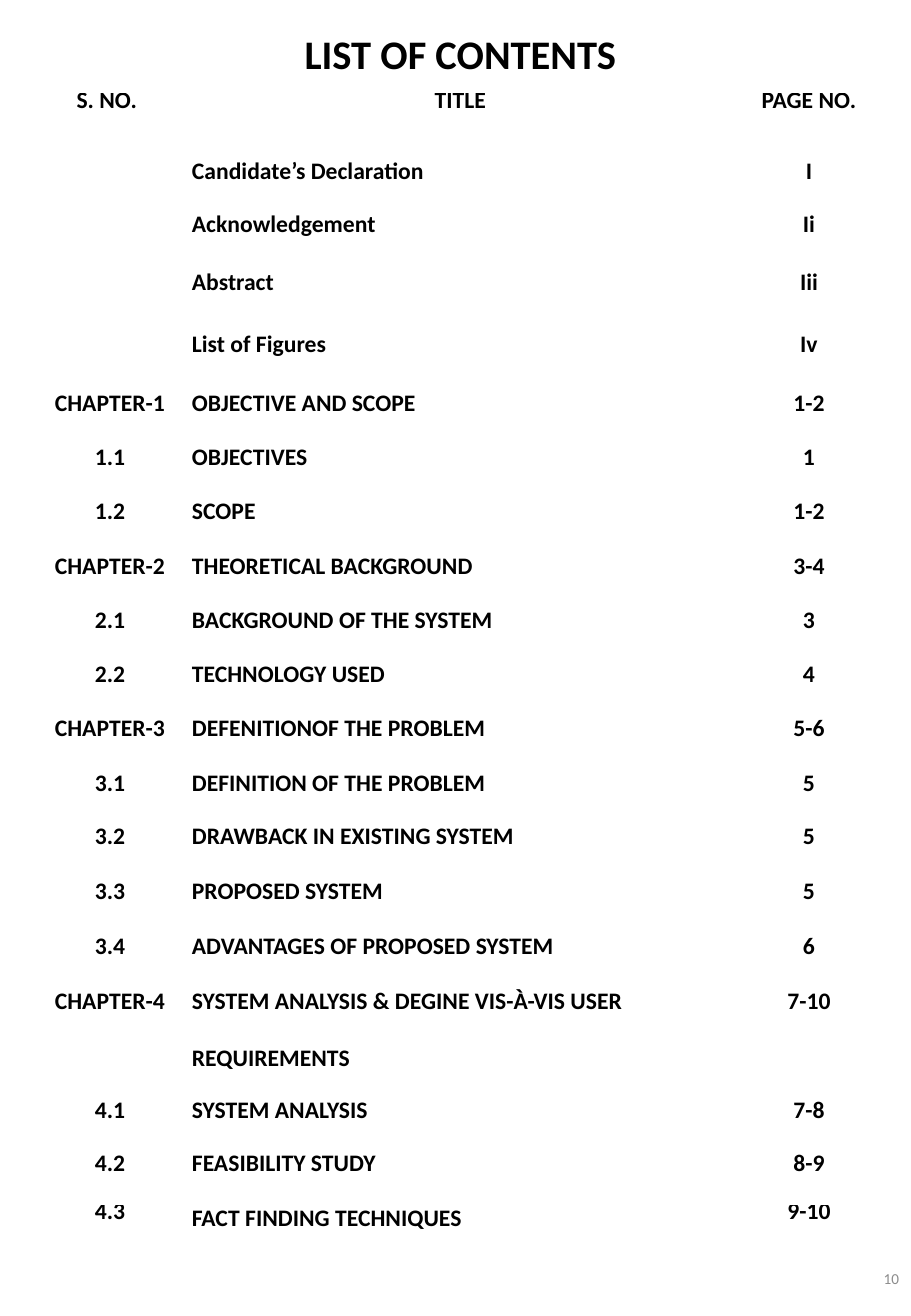
"""Build the list of contents page of a project report."""
from dataclasses import dataclass

from pptx import Presentation
from pptx.dml.color import RGBColor
from pptx.enum.text import MSO_ANCHOR, MSO_AUTO_SIZE, PP_ALIGN
from pptx.util import Inches, Pt

LEFT, CENTER, RIGHT = PP_ALIGN.LEFT, PP_ALIGN.CENTER, PP_ALIGN.RIGHT
MIDDLE = MSO_ANCHOR.MIDDLE
NO_AUTOFIT = MSO_AUTO_SIZE.NONE


@dataclass(frozen=True)
class Theme:
    font: str = "Calibri"
    ink: RGBColor = RGBColor(0, 0, 0)
    muted: RGBColor = RGBColor(0x8C, 0x8C, 0x8C)
    title: Pt = Pt(24)
    body: Pt = Pt(14)
    footer: Pt = Pt(9)


THEME = Theme()


def style(p, size, color, align, bold=True):
    p.alignment = align
    p.font.name, p.font.size, p.font.bold = THEME.font, size, bold
    p.font.color.rgb = color


def fill_frame(tf, text, size, color, align, bold=True):
    tf.text = text
    tf.word_wrap, tf.auto_size = True, NO_AUTOFIT
    tf.vertical_anchor = MIDDLE
    style(tf.paragraphs[0], size, color, align, bold)


prs = Presentation()
prs.slide_width, prs.slide_height = Inches(7.5), Inches(10.83)
s = prs.slides.add_slide(prs.slide_layouts[5])

title = s.shapes.title
title.left, title.top = Inches(0.79), Inches(0.16)
title.width, title.height = Inches(6), Inches(0.56)
fill_frame(title.text_frame, "LIST OF CONTENTS", THEME.title, THEME.ink, CENTER)

contents = [
    (0.53, "S. NO.", "TITLE", "PAGE NO."),
    (0.44, "", "Candidate’s Declaration", "I"),
    (0.48, "", "Acknowledgement", "Ii"),
    (0.51, "", "Abstract", "Iii"),
    (0.48, "", "List of Figures", "Iv"),
    (0.45, "CHAPTER-1", "OBJECTIVE AND SCOPE", "1-2"),
    (0.44, "1.1", "OBJECTIVES", "1"),
    (0.45, "1.2", "SCOPE", "1-2"),
    (0.45, "CHAPTER-2", "THEORETICAL BACKGROUND", "3-4"),
    (0.44, "2.1", "BACKGROUND OF THE SYSTEM", "3"),
    (0.45, "2.2", "TECHNOLOGY USED", "4"),
    (0.45, "CHAPTER-3", "DEFENITIONOF THE PROBLEM", "5-6"),
    (0.44, "3.1", "DEFINITION OF THE PROBLEM", "5"),
    (0.45, "3.2", "DRAWBACK IN EXISTING SYSTEM", "5"),
    (0.45, "3.3", "PROPOSED SYSTEM", "5"),
    (0.45, "3.4", "ADVANTAGES OF PROPOSED SYSTEM", "6"),
    (0.9, "CHAPTER-4", "SYSTEM ANALYSIS & DEGINE VIS-À-VIS USER\nREQUIREMENTS", "7-10"),
    (0.44, "4.1", "SYSTEM ANALYSIS", "7-8"),
    (0.45, "4.2", "FEASIBILITY STUDY", "8-9"),
    (0.33, "4.3", "FACT FINDING TECHNIQUES", "9-10"),
]
header_columns = [(LEFT, 0.39), (CENTER, 0.15), (CENTER, 0.15)]
entry_columns = [(CENTER, 0.07), (LEFT, 0.08), (CENTER, 0.15)]
last_row = len(contents) - 1

table = s.shapes.add_table(len(contents), 3, Inches(0.24), Inches(0.76),
                           Inches(7), Inches(9.48)).table
table.first_row = table.horz_banding = False
for column, width in zip(table.columns, (1.26, 4.43, 1.31)):
    column.width = Inches(width)

for i, (height, *texts) in enumerate(contents):
    table.rows[i].height = Inches(height)
    columns = entry_columns if i else header_columns
    for j, (text, (align, indent)) in enumerate(zip(texts, columns)):
        cell = table.cell(i, j)
        cell.fill.background()
        cell.margin_left = Inches(indent)
        cell.margin_right = cell.margin_top = cell.margin_bottom = 0
        cell.text = text
        for k, p in enumerate(cell.text_frame.paragraphs):
            style(p, THEME.body, THEME.ink, align)
            if k:
                p.space_before = Pt(17)
            if i == 0:
                p.line_spacing = Pt(13.3)
            elif i == last_row and j != 1:
                p.line_spacing = Pt(12.8)

page_number = s.shapes.add_textbox(Inches(5.81), Inches(10.23), Inches(1.69), Inches(0.58))
fill_frame(page_number.text_frame, "10", THEME.footer, THEME.muted, RIGHT, bold=False)

prs.save("out.pptx")
